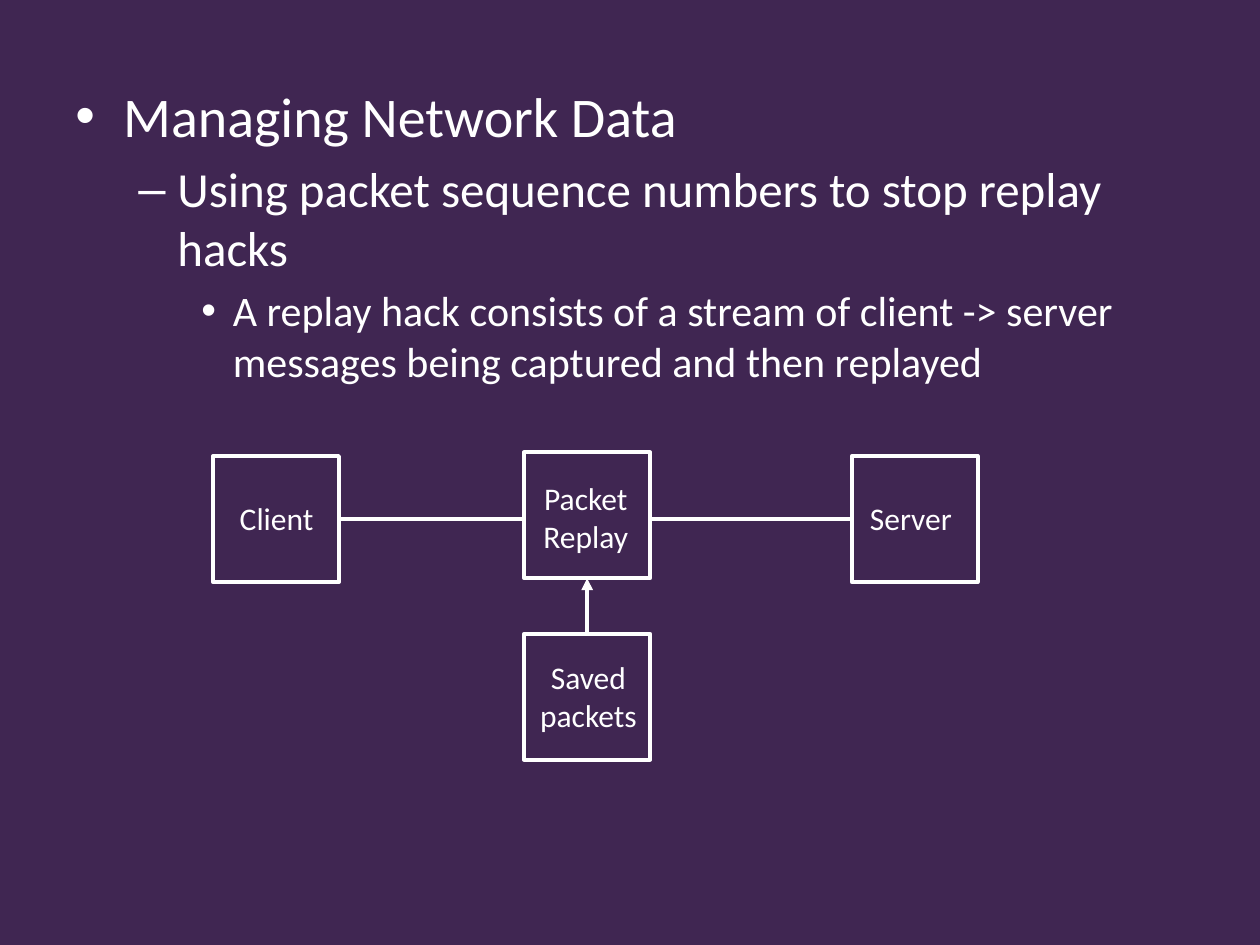
from dataclasses import dataclass

from lxml import etree
from pptx import Presentation
from pptx.dml.color import RGBColor
from pptx.enum.shapes import MSO_CONNECTOR, MSO_SHAPE
from pptx.enum.text import MSO_ANCHOR, MSO_AUTO_SIZE, PP_ALIGN
from pptx.oxml.ns import qn
from pptx.shapes.autoshape import Shape
from pptx.shapes.connector import Connector
from pptx.slide import Slide
from pptx.text.text import _Paragraph
from pptx.util import Inches, Pt

RECT = MSO_SHAPE.RECTANGLE
STRAIGHT = MSO_CONNECTOR.STRAIGHT
CENTER = PP_ALIGN.CENTER
MIDDLE = MSO_ANCHOR.MIDDLE
GROW = MSO_AUTO_SIZE.SHAPE_TO_FIT_TEXT
TOP, LEFT, BOTTOM, RIGHT = range(4)

COLORS = {"back": "402652", "ink": "FFFFFF"}
FONT = "Calibri"
SIDE = 1
STROKE = 2.25


@dataclass(frozen=True)
class Bullet:
    text: str
    mark: str
    size: int
    left: float
    hang: float


@dataclass(frozen=True)
class Node:
    lines: tuple[str, ...]
    left: float
    top: float
    label: tuple[float, float, float, float]
    solid: bool = False


BULLETS = (
    Bullet("Managing Network Data", "•", 32, 0.38, 0.38),
    Bullet("Using packet sequence numbers to stop replay hacks", "–", 28, 0.81, 0.31),
    Bullet("A replay hack consists of a stream of client -> server "
           "messages being captured and then replayed", "•", 24, 1.25, 0.25),
)
CLIENT = Node(("Client",), 1.69, 3.62, (1.8, 3.91, 0.79, 0.4))
SERVER = Node(("Server",), 6.76, 3.62, (6.8, 3.91, 0.86, 0.4))
REPLAY = Node(("Packet", "Replay"), 4.16, 3.59, (4.21, 3.75, 0.88, 0.71), True)
SAVED = Node(("Saved", "packets"), 4.16, 5.03, (4.18, 5.17, 0.98, 0.71))


def color(name: str) -> RGBColor:
    """Look up a colour by its role."""
    return RGBColor.from_string(COLORS[name])


def add_run(para: _Paragraph, text: str, size: int) -> None:
    """Append one styled run."""
    run = para.add_run()
    run.text = text
    run.font.name = FONT
    run.font.size = Pt(size)
    run.font.color.rgb = color("ink")


def add_body(slide: Slide) -> None:
    """Write the nested bullet list."""
    frame = slide.shapes.add_textbox(
        Inches(0.5), Inches(0.6), Inches(9), Inches(6.69)).text_frame
    frame.word_wrap = True
    for level, item in enumerate(BULLETS):
        para = frame.add_paragraph() if level else frame.paragraphs[0]
        para.level = level
        props = para._p.get_or_add_pPr()
        props.set("marL", str(Inches(item.left)))
        props.set("indent", str(-Inches(item.hang)))
        etree.SubElement(props, qn("a:buFont")).set("typeface", "Arial")
        etree.SubElement(props, qn("a:buChar")).set("char", item.mark)
        if level:
            para.space_before = Pt(item.size * 0.2)
        add_run(para, item.text, item.size)


def add_node(slide: Slide, node: Node) -> Shape:
    """Draw a labelled square as a group and return the square."""
    group = slide.shapes.add_group_shape()
    box = group.shapes.add_shape(
        RECT, Inches(node.left), Inches(node.top), Inches(SIDE), Inches(SIDE))
    box.shadow.inherit = False
    if node.solid:
        box.fill.solid()
        box.fill.fore_color.rgb = color("back")
    else:
        box.fill.background()
    box.line.color.rgb = color("ink")
    box.line.width = Pt(STROKE)
    frame = group.shapes.add_textbox(*map(Inches, node.label)).text_frame
    frame.word_wrap = False
    frame.auto_size = GROW
    frame.vertical_anchor = MIDDLE
    for index, line in enumerate(node.lines):
        para = frame.add_paragraph() if index else frame.paragraphs[0]
        para.alignment = CENTER
        add_run(para, line, 18)
    return box


def add_link(slide: Slide, start: Shape, exit: int, end: Shape, entry: int) -> Connector:
    """Join two squares with a straight line."""
    link = slide.shapes.add_connector(STRAIGHT, 0, 0, 0, 0)
    link.begin_connect(start, exit)
    link.end_connect(end, entry)
    link.line.color.rgb = color("ink")
    link.line.width = Pt(STROKE)
    etree.SubElement(link._element.spPr, qn("a:effectLst"))
    return link


def main() -> None:
    """Build and save the slide."""
    deck = Presentation()
    deck.slide_width, deck.slide_height = Inches(10), Inches(7.5)
    slide = deck.slides.add_slide(deck.slide_layouts[6])
    slide.background.fill.solid()
    slide.background.fill.fore_color.rgb = color("back")
    add_body(slide)
    client = add_node(slide, CLIENT)
    server = add_node(slide, SERVER)
    add_link(slide, client, RIGHT, server, LEFT)
    replay = add_node(slide, REPLAY)
    saved = add_node(slide, SAVED)
    arrow = add_link(slide, saved, TOP, replay, BOTTOM)
    etree.SubElement(arrow.line._get_or_add_ln(), qn("a:tailEnd")).set("type", "triangle")
    deck.save("out.pptx")


if __name__ == "__main__":
    main()
